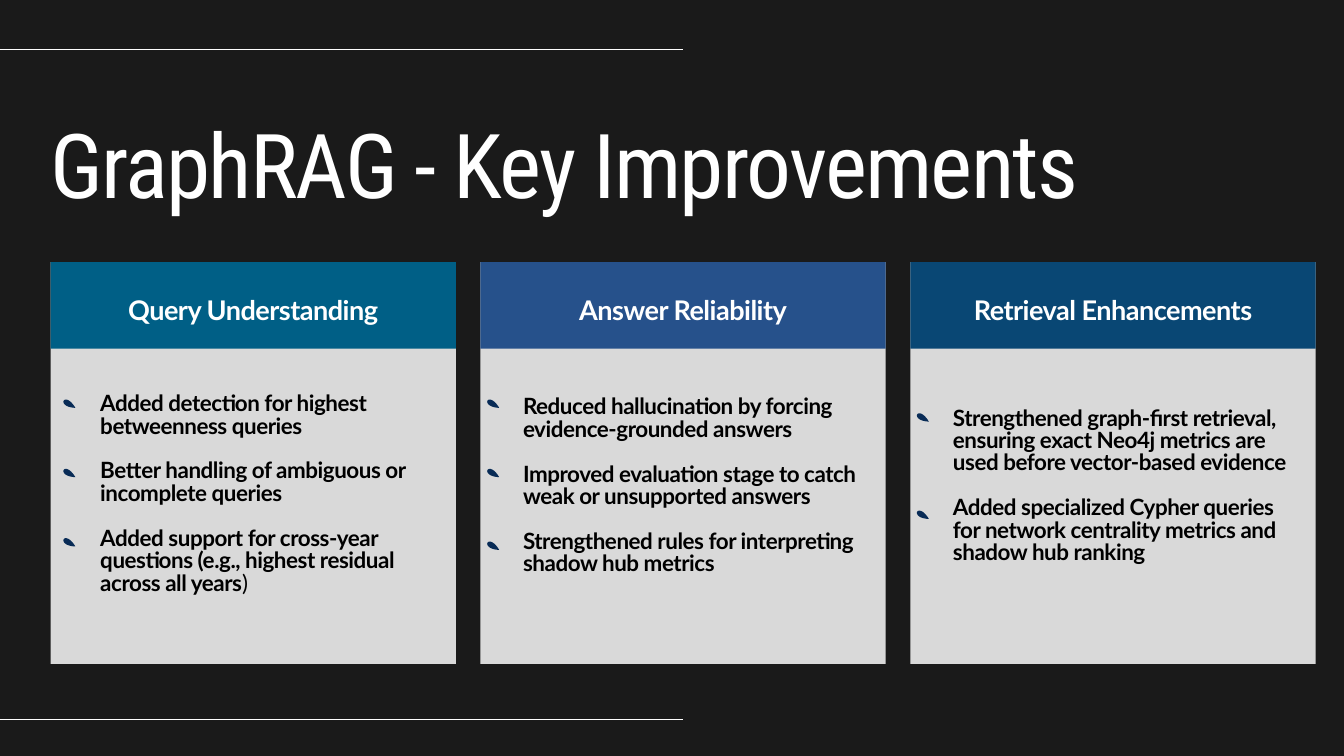
from lxml import etree
from pptx import Presentation, util as u
from pptx.dml.color import RGBColor
from pptx.enum import shapes, text
from pptx.oxml.ns import qn

LEFT, PITCH, WIDTH = 1.91, 16.25, 15.32
TOP, HEADER_H, CARD_H = 9.91, 3.27, 15.19
TRACKING = -0.02
PETAL = [(0, 0), (-0.77, -0.03), (-0.41, -0.69), (0, 0)]
BULLET_W, BULLET_H = 0.92, 1.04

CARDS = [
    {
        "title": "Query Understanding", "color": "005F86",
        "text_box": (3.79, 14.89, 11.94, 7.67),
        "bullet_x": 2.85, "bullet_ys": [15.42, 18.04, 20.66],
        "items": [
            [("Added detection for highest betweenness queries", True)],
            [("Better handling of ambiguous or incomplete queries", True)],
            [("Added support for cross-year questions (e.g., highest residual across all years", True),
             (")", False)],
        ],
    },
    {
        "title": "Answer Reliability", "color": "26518B",
        "text_box": (19.77, 15.01, 12.7, 6.83),
        "bullet_x": 18.87, "bullet_ys": [15.42, 18.04, 20.79],
        "items": [
            [("Reduced hallucination by forcing evidence-grounded answers", True)],
            [("Improved evaluation stage to catch weak or unsupported answers", True)],
            [("Strengthened rules for interpreting shadow hub metrics", True)],
        ],
    },
    {
        "title": "Retrieval Enhancements", "color": "094774",
        "text_box": (36.02, 15.43, 12.7, 5.99),
        "bullet_x": 35.11, "bullet_ys": [15.94, 19.62],
        "items": [
            [("Strengthened graph-first retrieval, ensuring exact Neo4j metrics are "
              "used before vector-based evidence", True)],
            [("Added specialized Cypher queries for network centrality metrics and "
              "shadow hub ranking", True)],
        ],
    },
]


def rgb(value):
    return RGBColor.from_string(value)


def paint(sp, color):
    sp.shadow.inherit = False
    sp.fill.solid()
    sp.fill.fore_color.rgb = rgb(color)
    sp.line.fill.background()


def add_run(p, content, size, font, color, bold=False):
    p.line_spacing = u.Pt(size)
    r = p.add_run()
    r.text = content
    r.font.size = u.Pt(size)
    r.font.name = font
    r.font.bold = bold
    r.font.color.rgb = rgb(color)
    r._r.get_or_add_rPr().set("spc", str(round(size * TRACKING * 100)))


def add_rect(s, x, y, w, h, color):
    sp = s.shapes.add_shape(shapes.MSO_SHAPE.RECTANGLE, u.Cm(x), u.Cm(y), u.Cm(w), u.Cm(h))
    paint(sp, color)
    return sp


def add_text_frame(s, x, y, w, h):
    tf = s.shapes.add_textbox(u.Cm(x), u.Cm(y), u.Cm(w), u.Cm(h)).text_frame
    tf.word_wrap = True
    tf.margin_left = tf.margin_right = tf.margin_top = tf.margin_bottom = 0
    return tf


def add_rule(s, y):
    line = s.shapes.add_connector(shapes.MSO_CONNECTOR.STRAIGHT, 0, u.Cm(y), u.Cm(25.83), u.Cm(y))
    line.line.color.rgb = rgb("FFFFFF")
    line.line.width = u.Pt(1.5)
    etree.SubElement(line._element.spPr, qn("a:effectLst"))


def add_header(s, x, title, color):
    tf = add_rect(s, x, TOP, WIDTH, HEADER_H, color).text_frame
    tf.margin_left = tf.margin_right = tf.margin_bottom = u.Cm(0.15)
    tf.margin_top = u.Cm(0.66)
    tf.vertical_anchor = text.MSO_ANCHOR.MIDDLE
    p = tf.paragraphs[0]
    p.alignment = text.PP_ALIGN.CENTER
    add_run(p, title, 29, "Lato", "FFFFFF", True)


def petal_point(t, x, y):
    weights = [(1 - t) ** 3, 3 * t * (1 - t) ** 2, 3 * t ** 2 * (1 - t), t ** 3]
    dx, dy = (sum(w * c for w, c in zip(weights, axis)) for axis in zip(*PETAL))
    return u.Cm(x + dx), u.Cm(y + dy)


def add_petal(s, x, y, steps=24):
    points = [petal_point(i / steps, x, y) for i in range(steps)]
    builder = s.shapes.build_freeform(u.Cm(x - BULLET_W / 2), u.Cm(y - BULLET_H / 2))
    builder.move_to(*points[0])
    builder.add_line_segments(points[1:], close=True)
    builder.move_to(u.Cm(x + BULLET_W / 2), u.Cm(y + BULLET_H / 2))
    paint(builder.convert_to_shape(), "082B56")


def add_items(s, box, items):
    tf = add_text_frame(s, *box)
    for i, item in enumerate(items):
        p = tf.add_paragraph() if i else tf.paragraphs[0]
        if i:
            p.space_before = u.Pt(24)
        for content, bold in item:
            add_run(p, content, 24, "Lato", "000000", bold)


def add_card(s, x, card):
    add_rect(s, x, TOP, WIDTH, CARD_H, "D9D9D9")
    add_header(s, x, card["title"], card["color"])
    add_items(s, card["text_box"], card["items"])
    for y in card["bullet_ys"]:
        add_petal(s, card["bullet_x"], y)


def main():
    prs = Presentation()
    prs.slide_width, prs.slide_height = u.Cm(50.8), u.Cm(28.58)
    s = prs.slides.add_slide(prs.slide_layouts[6])
    s.background.fill.solid()
    s.background.fill.fore_color.rgb = rgb("1A1A1A")
    for y in (1.86, 27.2):
        add_rule(s, y)
    tf = add_text_frame(s, LEFT, 4.8, 43.03, 3.53)
    add_run(tf.paragraphs[0], "GraphRAG - Key Improvements", 95.9, "Roboto Condensed", "FFFFFF")
    for i, card in enumerate(CARDS):
        add_card(s, LEFT + i * PITCH, card)
    prs.save("out.pptx")


if __name__ == "__main__":
    main()
